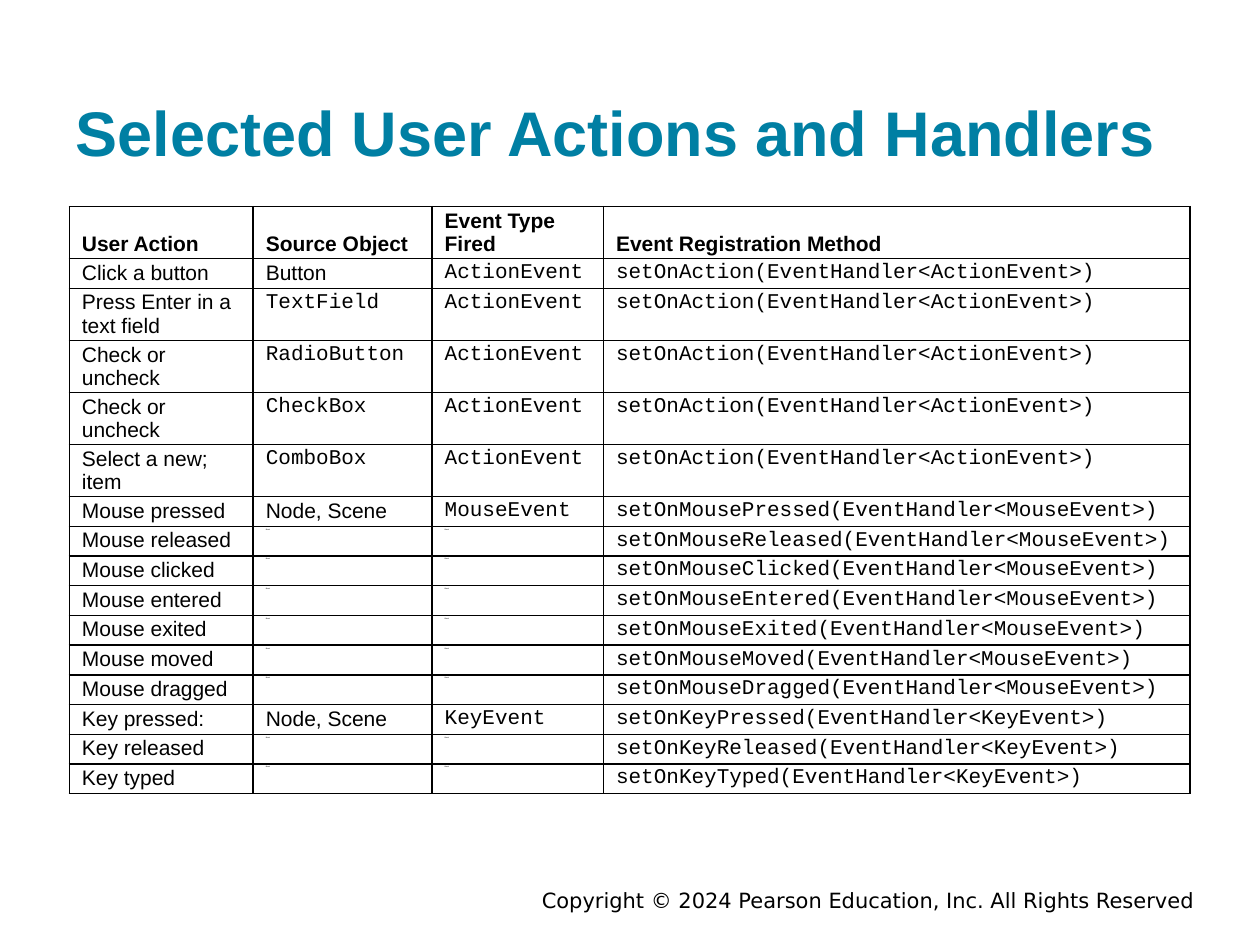
"""Build the slide that lists user actions, their events and registration methods."""
from dataclasses import dataclass

import pptx
import pptx.dml.color
import pptx.enum.text
import pptx.oxml
import pptx.oxml.ns
import pptx.util

COLORS = {"title": "007FA3", "ink": "000000", "paper": "FFFFFF"}
WIDTH, HEIGHT = pptx.util.Inches(10), pptx.util.Inches(7.5)
GRID_COLUMNS, GRID_ROWS = 200, 150
COLUMN_SPANS = (29.2, 28.4, 27.2, 93.1)
ROW_SPAN = 4.72
SANS, MONO = "Arial", "Courier New"
HEADINGS = ("User Action", "Source Object", "Event Type Fired", "Event Registration Method")
TITLE_FORMAT = {"name": SANS, "size": pptx.util.Pt(36), "bold": True}
FOOTER_FORMAT = {"name": "DejaVu Sans", "size": pptx.util.Pt(12), "bold": False}
HEADING_FORMAT = {"name": SANS, "size": pptx.util.Pt(12), "bold": True}
PLAIN_FORMAT = {"name": SANS, "size": pptx.util.Pt(12), "bold": False}
CODE_FORMAT = {**PLAIN_FORMAT, "name": MONO}
BLANK_FORMAT = {**PLAIN_FORMAT, "size": pptx.util.Pt(1)}
ANCHOR = pptx.enum.text.MSO_ANCHOR
ALIGN = pptx.enum.text.PP_ALIGN


@dataclass(frozen=True)
class Area:
    """A rectangle in grid columns and rows."""
    column: float
    row: float
    columns: float
    rows: float

    def place(self) -> tuple:
        """Return left, top, width and height as lengths."""
        return across(self.column), down(self.row), across(self.columns), down(self.rows)


@dataclass(frozen=True)
class Action:
    """One user action with its source, event and handler suffix."""
    label: str
    source: str
    event: str
    handler: str

    def texts(self) -> tuple:
        """Return the four cell texts."""
        kind = self.event if self.event != "Blank" else f"{self.handler[:-len(self.handler.lstrip('MouseKy'))]}Event"
        return self.label, self.source, self.event, f"setOn{self.handler}(EventHandler<{kind}>)"


@dataclass(frozen=True)
class Group:
    """Actions that fire the same event type."""
    event: str
    actions: tuple


GROUPS = (
    Group("ActionEvent", (
        ("Click a button", "Button", "Action"),
        ("Press Enter in a text field", "TextField", "Action"),
        ("Check or uncheck", "RadioButton", "Action"),
        ("Check or uncheck", "CheckBox", "Action"),
        ("Select a new; item", "ComboBox", "Action"),
    )),
    Group("MouseEvent", (
        ("Mouse pressed", "Node, Scene", "MousePressed"),
        ("Mouse released", "Blank", "MouseReleased"),
        ("Mouse clicked", "Blank", "MouseClicked"),
        ("Mouse entered", "Blank", "MouseEntered"),
        ("Mouse exited", "Blank", "MouseExited"),
        ("Mouse moved", "Blank", "MouseMoved"),
        ("Mouse dragged", "Blank", "MouseDragged"),
    )),
    Group("KeyEvent", (
        ("Key pressed:", "Node, Scene", "KeyPressed"),
        ("Key released", "Blank", "KeyReleased"),
        ("Key typed", "Blank", "KeyTyped"),
    )),
)


def across(columns: float) -> int:
    """Turn grid columns into a length."""
    return round(WIDTH * columns / GRID_COLUMNS)


def down(rows: float) -> int:
    """Turn grid rows into a length."""
    return round(HEIGHT * rows / GRID_ROWS)


def apply(target, values: dict) -> None:
    """Set each named attribute on the target."""
    for name, value in values.items():
        setattr(target, name, value)


def rgb(name: str):
    """Look up a colour by its role."""
    return pptx.dml.color.RGBColor.from_string(COLORS[name])


def write(frame, text: str, style: dict, color: str, align=ALIGN.LEFT) -> None:
    """Write one formatted paragraph into a text frame."""
    para = frame.paragraphs[0]
    para.alignment = align
    span = para.add_run()
    span.text = text
    apply(span.font, style)
    span.font.color.rgb = rgb(color)


def format_frame(frame, anchor, inset: float) -> None:
    """Set the wrapping, anchor and insets of a text frame."""
    side, edge = pptx.util.Inches(0.1), pptx.util.Inches(inset)
    apply(frame, {"word_wrap": True, "auto_size": pptx.enum.text.MSO_AUTO_SIZE.NONE,
                  "vertical_anchor": anchor, "margin_left": side, "margin_right": side,
                  "margin_top": edge, "margin_bottom": edge})


def draw_title(page, area: Area, text: str) -> None:
    """Move and fill the title placeholder."""
    box = page.shapes.title
    apply(box, dict(zip(("left", "top", "width", "height"), area.place())))
    format_frame(box.text_frame, ANCHOR.BOTTOM, 0.1)
    write(box.text_frame, text, TITLE_FORMAT, "title")


def draw_footer(page, area: Area, text: str) -> None:
    """Draw the copyright line."""
    box = page.shapes.add_textbox(*area.place())
    format_frame(box.text_frame, ANCHOR.MIDDLE, 0.05)
    write(box.text_frame, text, FOOTER_FORMAT, "ink", ALIGN.RIGHT)


def draw_borders(cell) -> None:
    """Give a cell a thin line on all four sides."""
    properties = cell._tc.get_or_add_tcPr()
    for index, side in enumerate("LRTB"):
        line = pptx.oxml.parse_xml(
            f'<a:ln{side} {pptx.oxml.ns.nsdecls("a")} w="{pptx.util.Pt(1)}"><a:solidFill>'
            f'<a:srgbClr val="{COLORS["ink"]}"/></a:solidFill></a:ln{side}>')
        properties.insert(index, line)


def draw_cell(cell, text: str, style: dict, anchor) -> None:
    """Fill, outline and write one table cell."""
    edge, side = pptx.util.Inches(0.02), pptx.util.Inches(0.1)
    apply(cell, {"vertical_anchor": anchor, "margin_left": side, "margin_right": side,
                 "margin_top": edge, "margin_bottom": edge})
    cell.fill.solid()
    cell.fill.fore_color.rgb = rgb("paper")
    draw_borders(cell)
    write(cell.text_frame, text, style, "ink")


def cell_format(column: int, text: str) -> dict:
    """Choose the text format of a body cell."""
    if text == "Blank":
        return BLANK_FORMAT
    plain = column == 0 or text in ("Button", "Node, Scene")
    return PLAIN_FORMAT if plain else CODE_FORMAT


def body_rows() -> list:
    """List the cell texts of every action, naming an event once per source."""
    return [(label, source, "Blank" if source == "Blank" else group.event,
             f"setOn{handler}(EventHandler<{group.event}>)")
            for group in GROUPS for label, source, handler in group.actions]


def draw_table(page, column: float, row: float) -> None:
    """Draw the table of actions and handlers."""
    rows = body_rows()
    area = Area(column, row, sum(COLUMN_SPANS), ROW_SPAN * (len(rows) + 1))
    table = page.shapes.add_table(len(rows) + 1, len(HEADINGS), *area.place()).table
    table.horz_banding = False
    for table_column, span in zip(table.columns, COLUMN_SPANS):
        table_column.width = across(span)
    for table_row in table.rows:
        table_row.height = down(ROW_SPAN)
    for index, text in enumerate(HEADINGS):
        draw_cell(table.cell(0, index), text, HEADING_FORMAT, ANCHOR.BOTTOM)
    for number, texts in enumerate(rows, 1):
        for index, text in enumerate(texts):
            draw_cell(table.cell(number, index), text, cell_format(index, text), ANCHOR.TOP)


def main() -> None:
    """Build and save the deck."""
    deck = pptx.Presentation()
    apply(deck, {"slide_width": WIDTH, "slide_height": HEIGHT})
    page = deck.slides.add_slide(deck.slide_layouts.get_by_name("Title Only"))
    draw_footer(page, Area(35, 140.6, 156.6, 4.4),
                "Copyright © 2024 Pearson Education, Inc. All Rights Reserved")
    draw_title(page, Area(10, 4.8, 180, 24), "Selected User Actions and Handlers")
    draw_table(page, 11, 32.8)
    deck.save("out.pptx")


if __name__ == "__main__":
    main()
